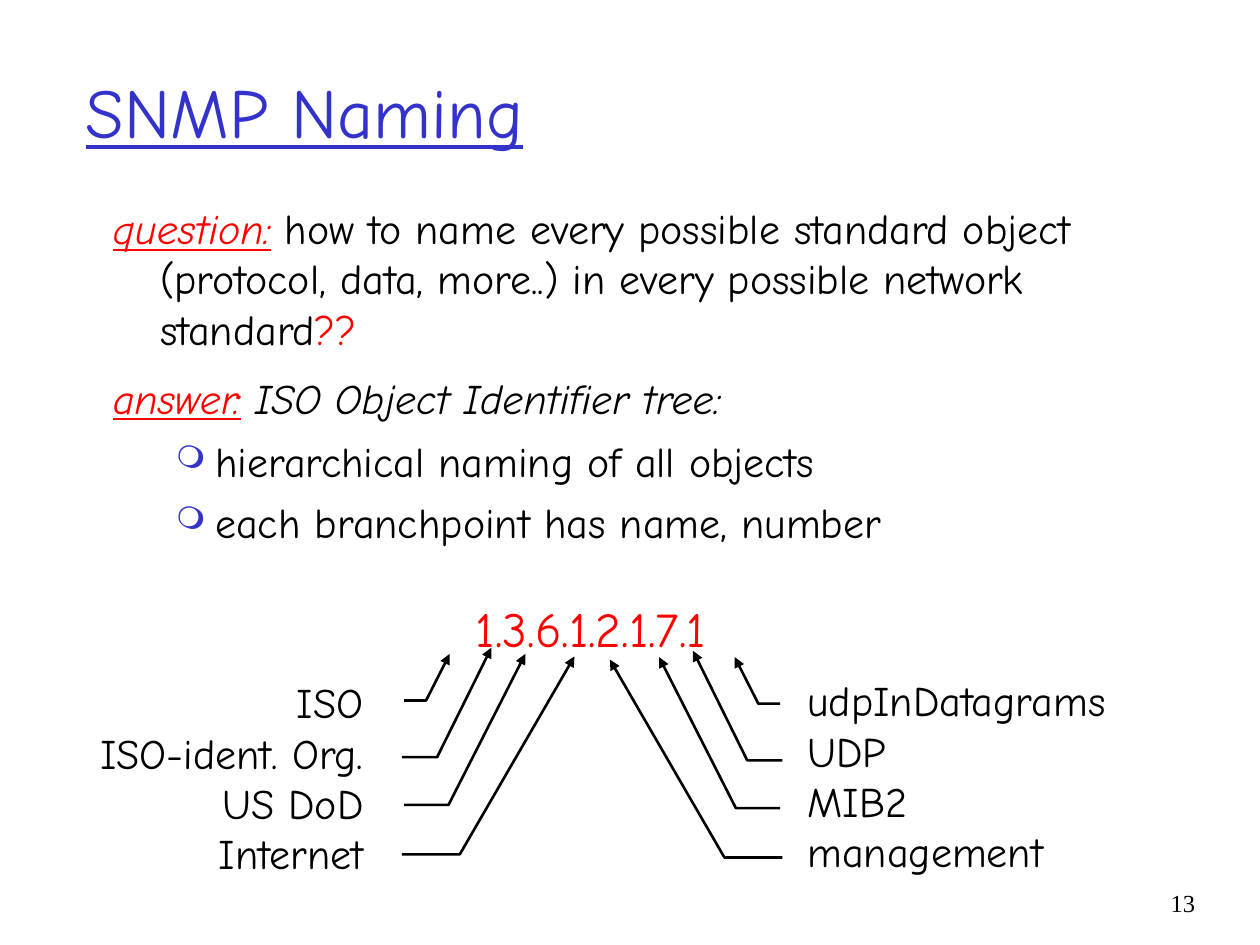
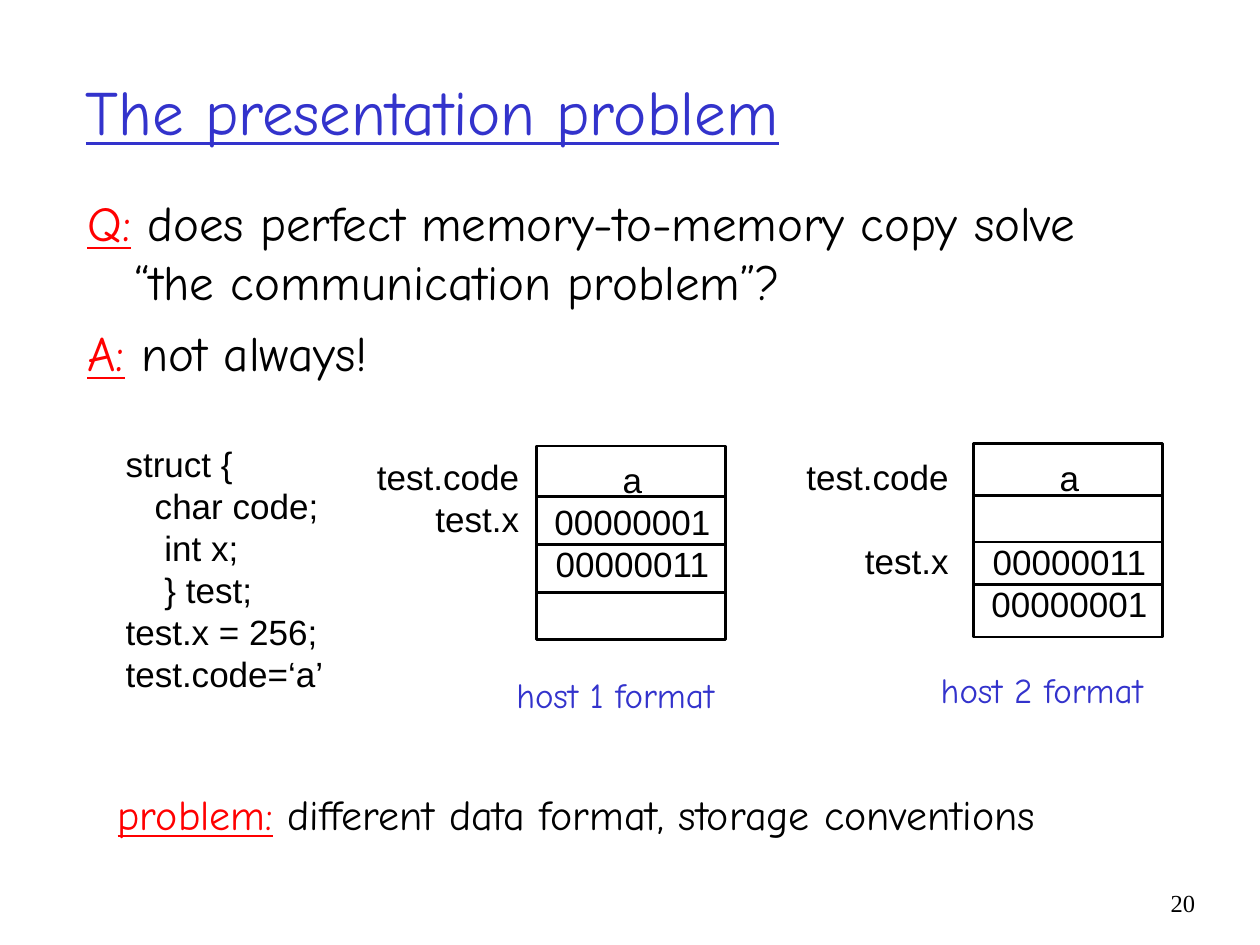
"""Build two slides on object naming and data formats."""
from dataclasses import dataclass

from lxml.etree import SubElement as Sub
from pptx import Presentation
from pptx.dml.color import RGBColor as Rgb
from pptx.enum.shapes import MSO_CONNECTOR as Conn, MSO_SHAPE as Kind
from pptx.enum.text import MSO_ANCHOR as Anchor, MSO_AUTO_SIZE as Auto, PP_ALIGN as Align
from pptx.oxml.ns import qn
from pptx.util import Pt


@dataclass(frozen=True)
class Theme:
    blue: Rgb = Rgb(0x33, 0x33, 0xCC)
    red: Rgb = Rgb(0xFF, 0, 0)
    black: Rgb = Rgb(0, 0, 0)
    white: Rgb = Rgb(0xFF, 0xFF, 0xFF)
    hand: str = "Comic Neue"
    sans: str = "Arial"
    serif: str = "Times New Roman"
    head: int = 40
    head_low: int = 36
    large: int = 28
    text: int = 24
    code: int = 20
    foot: int = 14
    line: float = 1.5
    hang: int = 27


T = Theme()


def add_box(slide, area, wrap=True):
    box = slide.shapes.add_textbox(*map(Pt, area))
    frame = box.text_frame
    frame.word_wrap = wrap
    frame.auto_size = Auto.NONE if wrap else Auto.SHAPE_TO_FIT_TEXT
    return frame


def style(run, size, color, font=T.hand, marks=""):
    face = run.font
    face.name, face.size = font, Pt(size)
    face.color.rgb = color
    face.italic = "i" in marks
    face.underline = "u" in marks


def add_lines(slide, area, lines, size, color=T.black, font=T.hand,
              align=Align.LEFT, wrap=False, gaps=None):
    frame = add_box(slide, area, wrap)
    frame.text = "\n".join(lines)
    for i, para in enumerate(frame.paragraphs):
        para.alignment = align
        if gaps and i in gaps:
            para.space_before = Pt(gaps[i])
        for run in para.runs:
            style(run, size, color, font)
    return frame


def add_title(slide, text, size):
    frame = add_lines(slide, (42, 18, 612, 90), [text], size, T.blue, wrap=True)
    frame.vertical_anchor = Anchor.MIDDLE
    frame.paragraphs[0].runs[0].font.underline = True


def add_foot(slide, num):
    add_lines(slide, (643.6, 504, 46.5, 36), [num], T.foot, font=T.serif,
              align=Align.RIGHT, wrap=True)


def indent(para, left, hang):
    props = para._p.get_or_add_pPr()
    props.set("marL", str(Pt(left)))
    props.set("indent", str(Pt(-hang)))
    return props


def add_bullet(para):
    props = indent(para, 58.5, 22.5)
    tint = Sub(Sub(props, qn("a:buClr")), qn("a:srgbClr"))
    tint.set("val", str(T.blue))
    Sub(props, qn("a:buSzPct")).set("val", "75000")
    Sub(props, qn("a:buChar")).set("char", "❍")


def add_body(slide, area, paras, size):
    """Each item is a gap before and its runs; one run alone is a bullet."""
    frame = add_box(slide, area)
    for i, (gap, runs) in enumerate(paras):
        para = frame.add_paragraph() if i else frame.paragraphs[0]
        if gap:
            para.space_before = Pt(gap)
        if len(runs) == 1:
            add_bullet(para)
        else:
            indent(para, T.hang, T.hang)
        for text, color, marks in runs:
            run = para.add_run()
            run.text = text
            style(run, size, color, marks=marks)


def add_arrow(slide, points):
    start, *rest = [(Pt(x), Pt(y)) for x, y in points]
    path = slide.shapes.build_freeform(*start)
    path.add_line_segments(rest, close=False)
    shape = path.convert_to_shape()
    shape.shadow.inherit = False
    shape.fill.background()
    shape.line.color.rgb = T.black
    shape.line.width = Pt(T.line)
    Sub(shape.line._get_or_add_ln(), qn("a:tailEnd")).set("type", "triangle")


def add_rule(slide, left, right, y):
    rule = slide.shapes.add_connector(Conn.STRAIGHT, Pt(left), Pt(y), Pt(right), Pt(y))
    rule.line.color.rgb = T.black
    rule.line.width = Pt(T.line)
    Sub(rule._element.spPr, qn("a:effectLst"))


def add_store(slide, left, top, rules, cells, gaps=None):
    wide, high = 108, 110.5
    rect = slide.shapes.add_shape(Kind.RECTANGLE, Pt(left), Pt(top), Pt(wide), Pt(high))
    rect.shadow.inherit = False
    rect.fill.solid()
    rect.fill.fore_color.rgb = T.white
    rect.line.color.rgb = T.black
    rect.line.width = Pt(T.line)
    for y in rules:
        add_rule(slide, left, left + wide, top + y)
    tall = 7.2 + 24 * len(cells) + sum((gaps or {}).values())
    add_lines(slide, (left + 1, top + 3.7, 107.4, tall), cells, T.code,
              font=T.sans, align=Align.CENTER, gaps=gaps)


def add_naming(slide):
    add_title(slide, "SNMP Naming", T.head)
    add_body(slide, (57.4, 112.2, 632, 219), [
        (0, [("question:", T.red, "iu"),
             (" how to name every possible standard object (protocol, data, more..) "
              "in every possible network standard", T.black, ""),
             ("??", T.red, "")]),
        (10.5, [("answer:", T.red, "iu"),
                (" ISO Object Identifier tree:", T.black, "i")]),
        (7.5, [("hierarchical naming of all objects", T.black, "")]),
        (6, [("each branchpoint has name, number", T.black, "")]),
    ], T.text)
    add_lines(slide, (257.7, 338.4, 160, 41), ["1.3.6.1.2.1.7.1"], T.large, T.red,
              align=Align.CENTER)
    add_lines(slide, (42.8, 383.2, 172, 122.4),
              ["ISO", "ISO-ident. Org.", "US DoD", "Internet"], T.text, align=Align.RIGHT)
    add_lines(slide, (454.3, 382, 195, 122.4),
              ["udpInDatagrams", "UDP", "MIB2", "management"], T.text)
    span, drop = 676.8, 1.8
    for start, bend, tip, low, high in [
        (231, 243.5, 257, 400.3, 373.7),
        (229.7, 249.8, 280.8, 432.7, 370.1),
        (231, 256.3, 300.2, 460, 373.7),
        (229.7, 262.8, 328.3, 488.2, 375.1),
    ]:
        left = [(start, low), (bend, low), (tip, high)]
        add_arrow(slide, left)
        add_arrow(slide, [(span - x, y + drop) for x, y in left])
    add_foot(slide, "13")


def add_problem(slide):
    add_title(slide, "The presentation problem", T.head_low)
    add_body(slide, (42.9, 106.6, 612, 121), [
        (0, [("Q:", T.red, "u"),
             (" does perfect memory-to-memory copy solve “the communication problem”?",
              T.black, "")]),
        (7, [("A:", T.red, "u"), (" not always!", T.black, "")]),
    ], T.large)
    add_body(slide, (60.2, 447, 612, 44.6), [
        (0, [("problem:", T.red, "u"),
             (" different data format, storage conventions", T.black, "")]),
    ], T.text)
    add_lines(slide, (64.7, 249.5, 135, 151.2),
              ["struct {", "   char code;", "    int x;", "    } test;",
               "test.x = 256;", "test.code=‘a’"], T.code, font=T.sans)
    add_store(slide, 306.7, 254.9, (29, 56.2, 83.5), ["a", "00000001", "00000011"])
    add_store(slide, 556.4, 253.5, (29.5, 56.2, 80.7), ["a", "00000011", "00000001"], {1: 24})
    for left, tall, gaps in [(199.8, 55.4, None), (445.2, 79.2, {1: 24})]:
        add_lines(slide, (left, 256.7, 104, tall), ["test.code", "test.x"], T.code,
                  font=T.sans, align=Align.RIGHT, gaps=gaps)
    for left, top, text in [(275.2, 381.3, "host 1 format"), (520.2, 378.3, "host 2 format")]:
        add_lines(slide, (left, top, 140, 31.7), [text], T.code, T.blue, align=Align.RIGHT)
    add_foot(slide, "20")


def main():
    deck = Presentation()
    deck.slide_width, deck.slide_height = Pt(720), Pt(540)
    for fill in (add_naming, add_problem):
        fill(deck.slides.add_slide(deck.slide_layouts[6]))
    deck.save("out.pptx")


if __name__ == "__main__":
    main()
